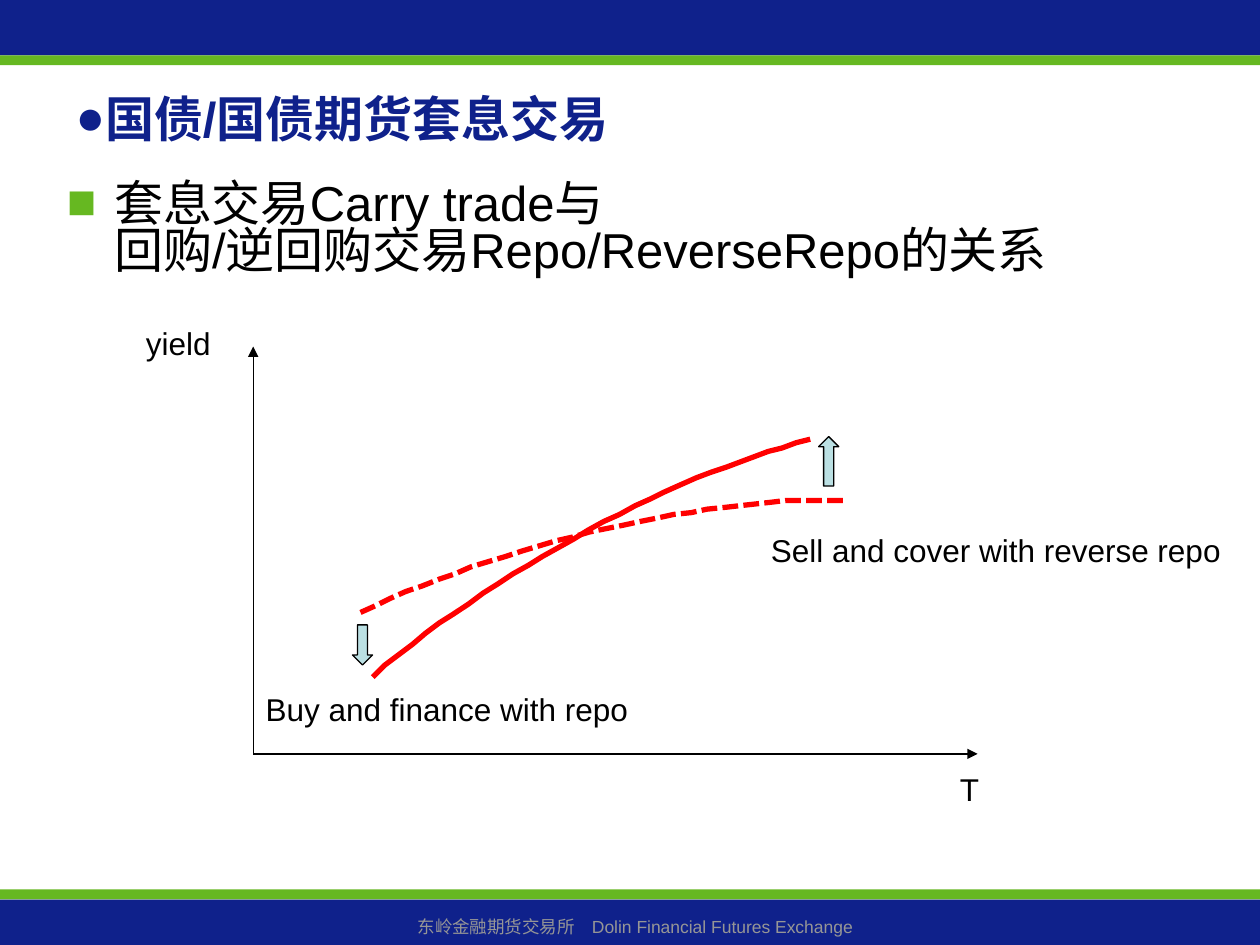
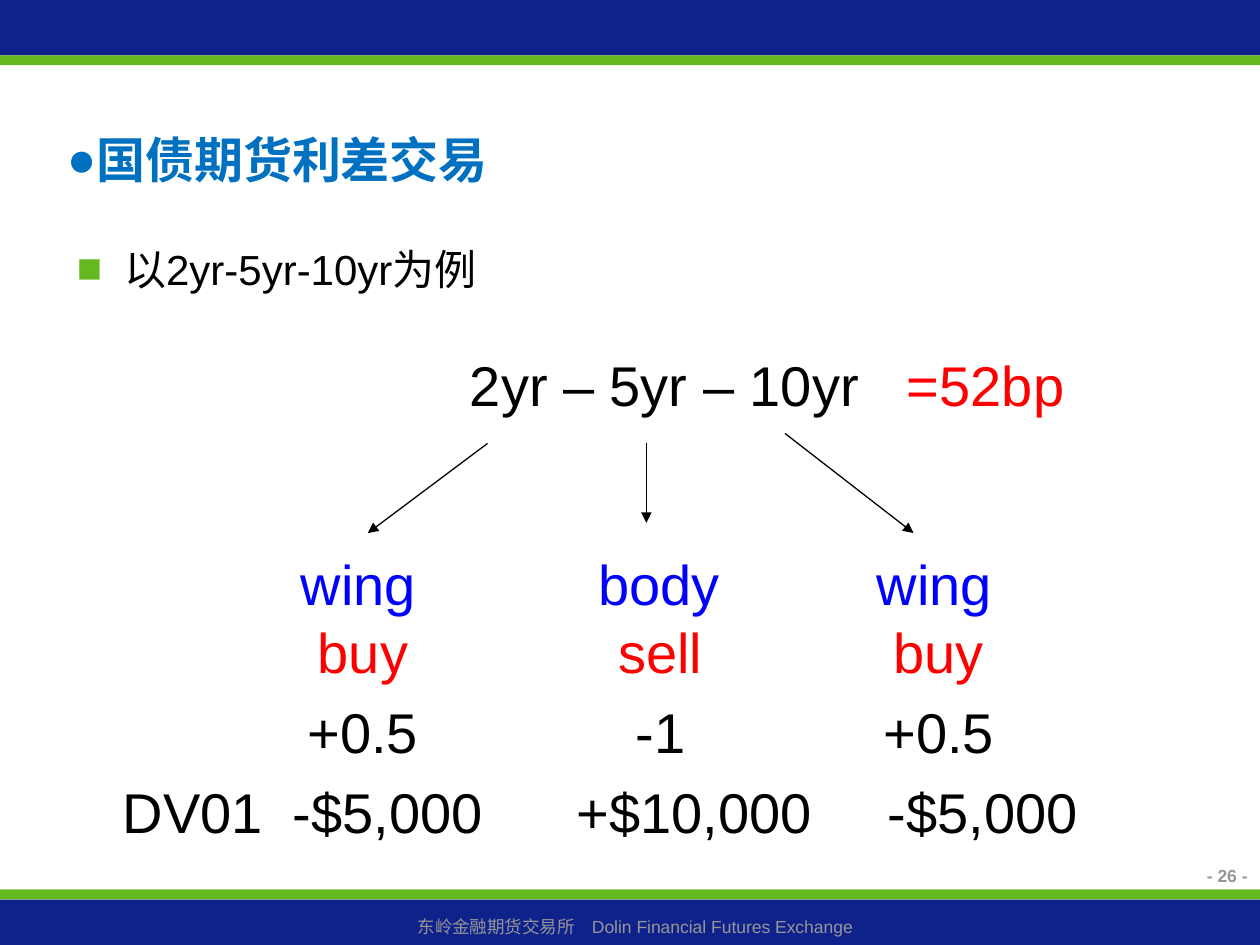
from pptx import Presentation
from pptx.dml.color import RGBColor
from pptx.enum.dml import MSO_LINE
from pptx.enum.shapes import MSO_CONNECTOR, MSO_SHAPE
from pptx.enum.text import MSO_ANCHOR, MSO_AUTO_SIZE, PP_ALIGN
from pptx.oxml import parse_xml
from pptx.oxml.ns import nsdecls
from pptx.util import Pt

hex_color = RGBColor.from_string
FONT = "Arial"
NAVY, GREEN, GREY = "0F218B", "66B821", "969696"
BLACK, RED, BLUE, SKY, PALE = "000000", "FF0000", "0000FF", "0070C0", "BBE0E3"
LEFT, CENTER, RIGHT = PP_ALIGN.LEFT, PP_ALIGN.CENTER, PP_ALIGN.RIGHT
HAIRLINE = 0.74


def write_text(box, text, size, color=BLACK, align=LEFT, bold=False):
    """Fill a text box or placeholder with one paragraph and return it."""
    frame = box.text_frame
    frame.word_wrap = True
    frame.auto_size = MSO_AUTO_SIZE.NONE
    para = frame.paragraphs[0]
    para.alignment = align
    for number, line in enumerate(text.split("\n")):
        if number:
            para.add_line_break()
        span = para.add_run()
        span.text = line
        span.font.name = FONT
        span.font.size = Pt(size)
        span.font.bold = bold
        span.font.color.rgb = hex_color(color)
    return para


def set_bullet(para, char, color, indent=0):
    """Give a paragraph a coloured bullet with a hanging indent in points."""
    props = para._p.get_or_add_pPr()
    props.set("marL", str(Pt(indent)))
    props.set("indent", str(-Pt(indent)))
    for xml in (
        f'<a:buClr {nsdecls("a")}><a:srgbClr val="{color}"/></a:buClr>',
        f'<a:buFont {nsdecls("a")} typeface="{FONT}"/>',
        f'<a:buChar {nsdecls("a")} char="{char}"/>',
    ):
        props.append(parse_xml(xml))


deck = Presentation()
deck.slide_width, deck.slide_height = Pt(720), Pt(540)

# Title, title colour and place, list text, size, place, spacing before, line spacing
pages = [
    ("国债/国债期货套息交易", NAVY, (36, 22.3, 648, 90),
     "套息交易Carry trade与\n回购/逆回购交易Repo/ReverseRepo的关系", 28,
     (31, 101.5, 660, 345.6), 7, 0.8),
    ("国债期货利差交易", SKY, (31, 65.5, 499, 51.1),
     "以2yr-5yr-10yr为例", 24, (36.7, 135.4, 648, 278), 6, 1.0),
]
bands = [(0, 31.6, NAVY), (31.6, 5.7, GREEN), (508.2, 5.8, GREEN), (514, 26, NAVY)]

for title, title_color, title_place, item, size, item_place, before, spacing in pages:
    slide = deck.slides.add_slide(deck.slide_layouts[1])
    for top, height, color in bands:
        band = slide.shapes.add_shape(MSO_SHAPE.RECTANGLE, 0, Pt(top), Pt(720), Pt(height))
        band.shadow.inherit = False
        band.fill.solid()
        band.fill.fore_color.rgb = hex_color(color)
        band.line.fill.background()
    footer = slide.shapes.add_textbox(Pt(5.8), Pt(519.8), Pt(714.2), Pt(19.4))
    write_text(footer, "东岭金融期货交易所\u3000Dolin Financial Futures Exchange", 10, GREY, CENTER)

    heading, body = slide.placeholders
    for box, place in ((heading, title_place), (body, item_place)):
        box.left, box.top, box.width, box.height = map(Pt, place)
    heading.text_frame.vertical_anchor = MSO_ANCHOR.MIDDLE
    set_bullet(write_text(heading, title, 28, title_color, bold=True), "●", title_color)
    para = write_text(body, item, size)
    para.space_before = Pt(before)
    para.line_spacing = spacing
    set_bullet(para, "■", GREEN, 27)

curve_slide, spread_slide = deck.slides

# Axes of the yield curve and arrows from the spread to its legs
arrows = [
    (curve_slide, (144.7, 430.8), (558.7, 430.8)),
    (curve_slide, (144.7, 430.8), (144.7, 198)),
    (spread_slide, (278.6, 253.4), (210.2, 304.6)),
    (spread_slide, (369.4, 253.4), (369.4, 298.8)),
    (spread_slide, (448.6, 247.7), (522, 304.6)),
]
for slide, start, end in arrows:
    arrow = slide.shapes.add_connector(MSO_CONNECTOR.STRAIGHT, *map(Pt, start + end))
    arrow.line.color.rgb = hex_color(BLACK)
    arrow.line.width = Pt(HAIRLINE)
    arrow.line._get_or_add_ln().append(parse_xml(f'<a:tailEnd {nsdecls("a")} type="triangle"/>'))
    arrow._element.spPr.append(parse_xml(f'<a:effectLst {nsdecls("a")}/>'))

# Yield curves, each a cubic Bezier drawn in short steps
STEPS = 30
curves = [
    ([(213.1, 386.6), (285.1, 324.7), (386.6, 270), (463, 251.3)], MSO_LINE.SOLID),
    ([(205.9, 349.9), (291.6, 309.6), (403.9, 283.7), (482.4, 285.8)], MSO_LINE.SQUARE_DOT),
]
for controls, dash in curves:
    points = []
    for step in range(STEPS + 1):
        t = step / STEPS
        weights = ((1 - t) ** 3, 3 * t * (1 - t) ** 2, 3 * t * t * (1 - t), t ** 3)
        points.append(tuple(sum(w * p for w, p in zip(weights, axis)) for axis in zip(*controls)))
    builder = curve_slide.shapes.build_freeform(*points[0], scale=Pt(1))
    builder.add_line_segments(points[1:], close=False)
    curve = builder.convert_to_shape()
    curve.shadow.inherit = False
    curve.fill.background()
    curve.line.color.rgb = hex_color(RED)
    curve.line.width = Pt(3)
    curve.line.dash_style = dash

shifts = [
    (MSO_SHAPE.DOWN_ARROW, (201.4, 357.1, 11.5, 22.9)),
    (MSO_SHAPE.UP_ARROW, (467.8, 249.5, 11.5, 28.3)),
]
for kind, place in shifts:
    shift = curve_slide.shapes.add_shape(kind, *map(Pt, place))
    shift.shadow.inherit = False
    shift.fill.solid()
    shift.fill.fore_color.rgb = hex_color(PALE)
    shift.line.color.rgb = hex_color(BLACK)
    shift.line.width = Pt(HAIRLINE)

curve_labels = [
    ("Buy and finance with repo", 144.7, 391, 232.6),
    ("Sell and cover with reverse repo", 433.4, 300.2, 278),
    ("yield", 76.3, 181.4, 62.6),
    ("T", 541.4, 436.3, 33.8),
]
for text, left, top, width in curve_labels:
    box = curve_slide.shapes.add_textbox(Pt(left), Pt(top), Pt(width), Pt(28.8))
    write_text(box, text, 18)

# Spread formula and one column for each leg
spread_labels = [
    ("2yr – 5yr – 10yr", 261.4, 196.6, 240, BLACK, LEFT),
    ("=52bp", 511.2, 196.6, 130, RED, LEFT),
    ("DV01", 63, 440.6, 100, BLACK, LEFT),
]
legs = [
    (164.9, "wing", "buy", "+0.5", "-$5,000", 160.2),
    (334.8, "body", "sell", "-1", "+$10,000", 322.5),
    (493.9, "wing", "buy", "+0.5", "-$5,000", 500.2),
]
for left, role, side, weight, value, value_left in legs:
    spread_labels += [
        (role, left, 310.3, 86, BLUE, LEFT),
        (side, left, 349.2, 85, RED, CENTER),
        (weight, left, 395.3, 85, BLACK, CENTER),
        (value, value_left, 440.6, 155, BLACK, LEFT),
    ]
for text, left, top, width, color, align in spread_labels:
    box = spread_slide.shapes.add_textbox(Pt(left), Pt(top), Pt(width), Pt(46))
    write_text(box, text, 32, color, align)

page_number = spread_slide.shapes.add_textbox(Pt(578.2), Pt(491), Pt(141.8), Pt(25.9))
write_text(page_number, "- 26 -", 10, GREY, RIGHT, bold=True)

deck.save("out.pptx")
